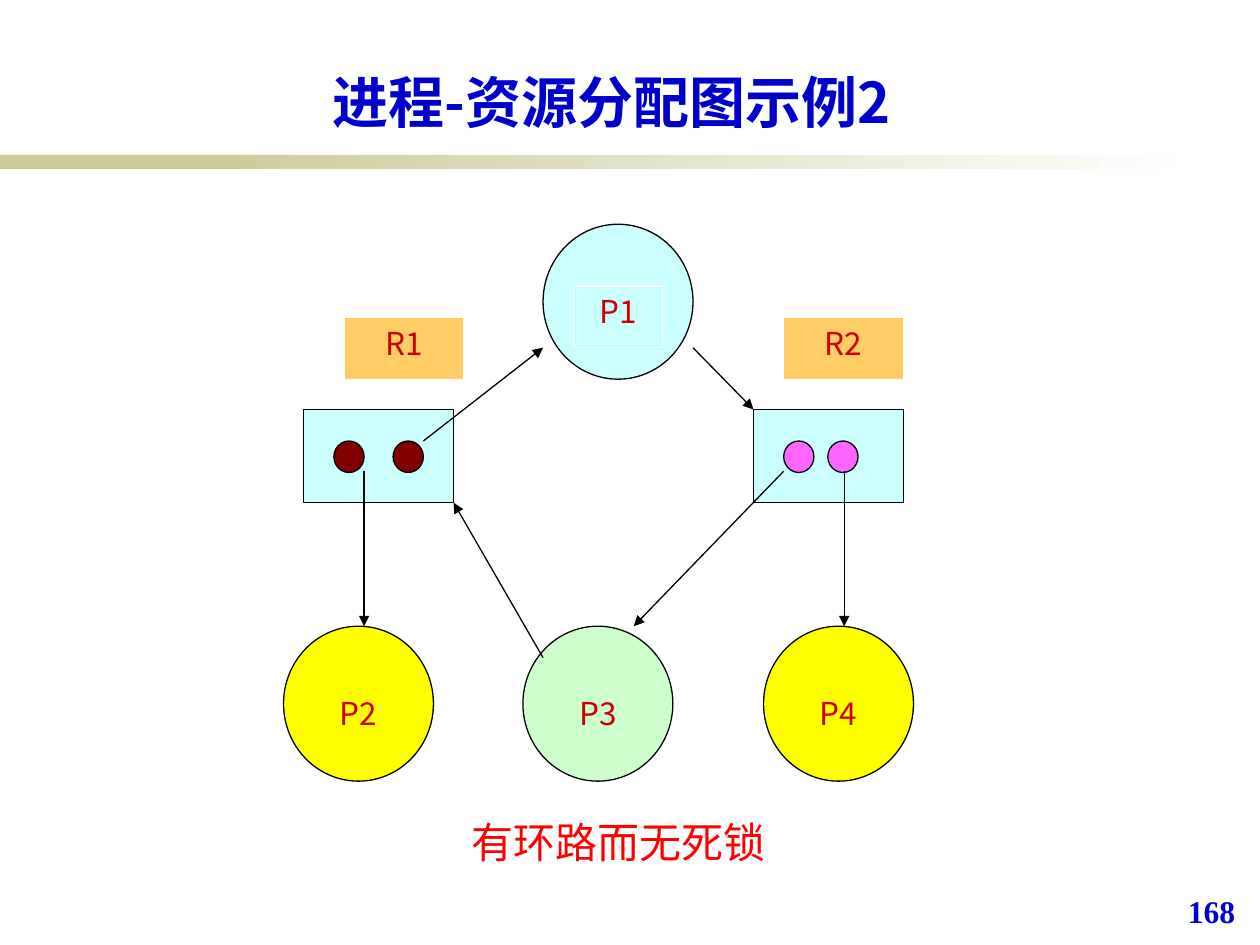
from pptx import Presentation
from pptx.dml.color import RGBColor
from pptx.enum import shapes, text
from pptx.oxml.ns import qn
from pptx.util import Inches, Pt
from lxml import etree

SANS = "Noto Sans CJK JP"
RECT, OVAL = shapes.MSO_SHAPE.RECTANGLE, shapes.MSO_SHAPE.OVAL
CYAN, YELLOW = "CBFFFE", "FFFF00"

presentation = Presentation()
presentation.slide_width, presentation.slide_height = Inches(10), Inches(7.5)
slide = presentation.slides.add_slide(presentation.slide_layouts[5])


def write(shape, words, size, color, font=SANS, bold=False,
          align=text.PP_ALIGN.CENTER, anchor=text.MSO_ANCHOR.TOP):
    frame = shape.text_frame
    frame.text = words
    frame.word_wrap = True
    frame.vertical_anchor = anchor
    paragraph = frame.paragraphs[0]
    paragraph.alignment = align
    paragraph.font.name, paragraph.font.size, paragraph.font.bold = font, Pt(size), bold
    paragraph.font.color.rgb = RGBColor.from_string(color)
    # East Asian characters take their typeface from a:ea
    run_properties = paragraph.runs[0].font
    run_properties.name = font
    properties = paragraph.runs[0]._r.get_or_add_rPr()
    etree.SubElement(properties, qn("a:ea")).set("typeface", font)


def draw(kind, left, top, width, height, fill, line="000000"):
    shape = slide.shapes.add_shape(
        kind, Inches(left), Inches(top), Inches(width), Inches(height))
    shape.shadow.inherit = False
    shape.fill.solid()
    shape.fill.fore_color.rgb = RGBColor.from_string(fill)
    if line:
        shape.line.color.rgb = RGBColor.from_string(line)
        shape.line.width = Pt(0.75)
    else:
        shape.line.fill.background()
    return shape


# Band under the title
draw(RECT, 0, 1.23, 2.33, 0.11, "CCCC99", None)
fade = draw(RECT, 1.58, 1.23, 7.92, 0.11, "CCCC99", None)
fade.fill.gradient()
fade.fill.gradient_angle = 0
for stop, color, position in zip(fade.fill.gradient_stops, ("CCCC99", "FFFFFF"), (0, 1)):
    stop.color.rgb = RGBColor.from_string(color)
    stop.position = position

# Processes
for name, left, top, fill in [("P1", 4.31, 1.78, CYAN), ("P2", 2.25, 4.97, YELLOW),
                              ("P3", 4.15, 4.97, "CCFFCC"), ("P4", 6.06, 4.97, YELLOW)]:
    draw(OVAL, left, top, 1.19, 1.23, fill)
    label_box = (left + 0.24, top + 0.49, 0.71, 0.49)
    if name == "P1":
        label = draw(RECT, *label_box, CYAN, "FFFFFF")
    else:
        label = slide.shapes.add_textbox(*map(Inches, label_box))
    write(label, name, 18, "CC0000")

# Resources and their instances
for name, label_left, left, dots, dot_color in [
        ("R1", 2.73, 2.41, (2.65, 3.12), "800000"),
        ("R2", 6.22, 5.98, (6.22, 6.57), "FF66FF")]:
    write(draw(RECT, label_left, 2.52, 0.95, 0.49, "FFCC66", "FFFFFF"), name, 18, "CC0000")
    draw(RECT, left, 3.25, 1.19, 0.74, CYAN)
    for dot_left in dots:
        draw(OVAL, dot_left, 3.5, 0.24, 0.25, dot_color)

# Requests and allocations
for ends in [(3.36, 3.5, 4.31, 2.76), (5.5, 2.76, 5.98, 3.25), (6.7, 3.74, 6.7, 4.97),
             (6.22, 3.74, 5.03, 4.97), (4.31, 5.22, 3.6, 3.99), (2.89, 3.74, 2.89, 4.97)]:
    arrow = slide.shapes.add_connector(shapes.MSO_CONNECTOR.STRAIGHT, *map(Inches, ends))
    arrow.line.color.rgb = RGBColor.from_string("000000")
    arrow.line.width = Pt(0.75)
    etree.SubElement(arrow.line._get_or_add_ln(), qn("a:tailEnd")).set("type", "triangle")
    etree.SubElement(arrow._element.spPr, qn("a:effectLst"))

# Title, conclusion and page number
title = slide.shapes.title
title.left, title.top, title.width, title.height = map(Inches, (0.83, 0.44, 8.05, 0.63))
write(title, "进程-资源分配图示例2", 32, "0000CC", bold=True, anchor=text.MSO_ANCHOR.BOTTOM)
title.text_frame.margin_bottom = 0

conclusion = slide.shapes.add_textbox(*map(Inches, (3.63, 6.43, 2.56, 0.5)))
write(conclusion, "有环路而无死锁", 24, "FF0000")
conclusion.text_frame.word_wrap = False
conclusion.text_frame.auto_size = text.MSO_AUTO_SIZE.SHAPE_TO_FIT_TEXT

page_number = slide.shapes.add_textbox(*map(Inches, (9.33, 7.03, 0.64, 0.5)))
write(page_number, "168", 18, "0000CC", "Times New Roman", True, text.PP_ALIGN.LEFT)

presentation.save("out.pptx")
